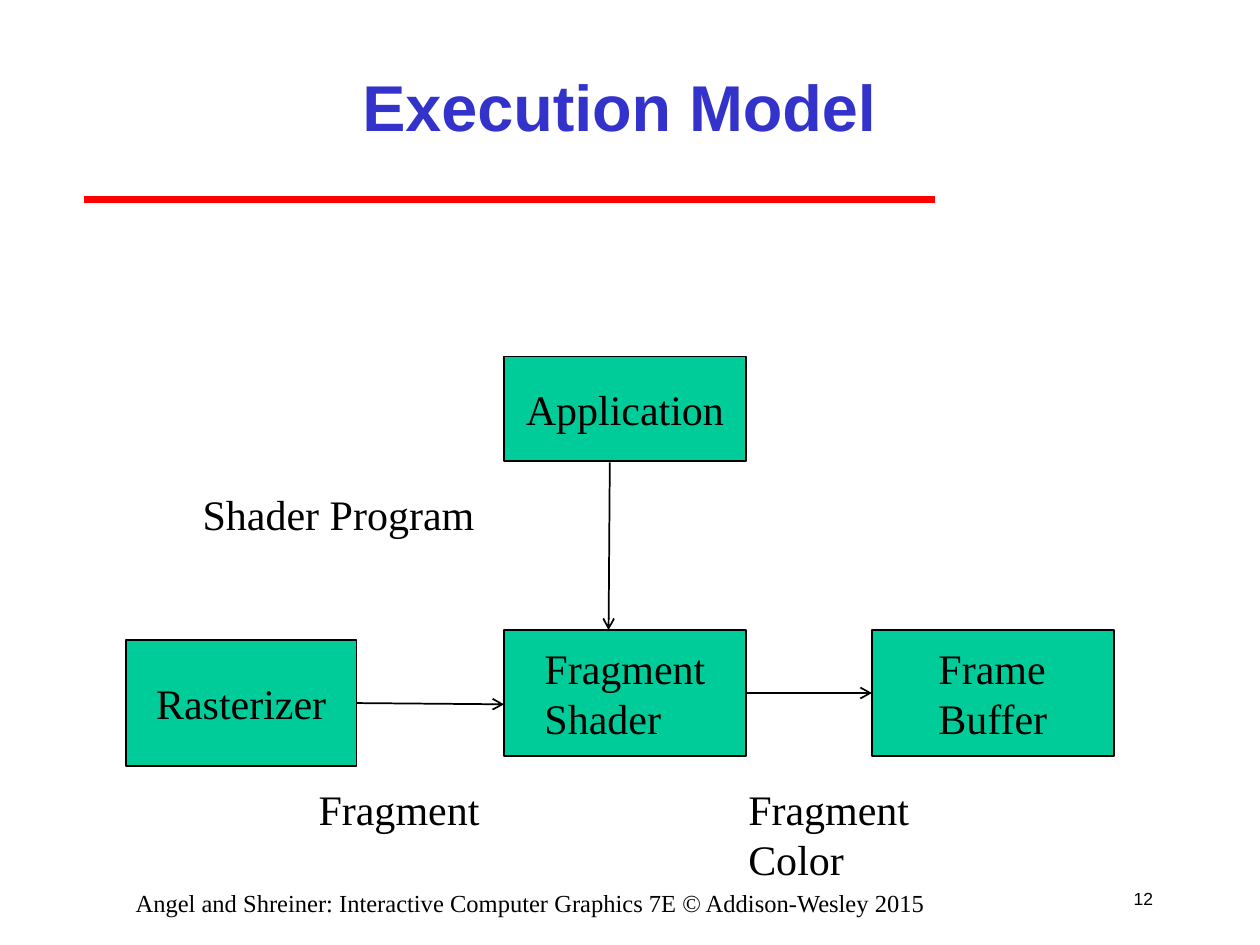
from pptx import Presentation
from pptx.dml.color import RGBColor
from pptx.enum.shapes import MSO_CONNECTOR as Connector, MSO_SHAPE as Shape
from pptx.enum.text import MSO_ANCHOR as Anchor, MSO_AUTO_SIZE as AutoSize, PP_ALIGN as Align
from pptx.oxml.ns import qn
from pptx.util import Inches, Pt
from lxml.etree import SubElement

BLACK, RED, BLUE, GREEN = "000000", "FF0000", "3333CC", "00CC99"
SERIF, SANS = "Times New Roman", "Arial"


def color(value):
    return RGBColor.from_string(value)


class SlideBuilder:
    def __init__(self, slide):
        self.slide = slide

    def set_text(self, shape, lines, size=24, font=SERIF, fill=BLACK, bold=False,
                 align=Align.LEFT, anchor=Anchor.TOP, wrap=True):
        frame = shape.text_frame
        frame.text = "\n".join(lines)
        frame.auto_size = AutoSize.NONE
        frame.word_wrap = wrap
        frame.vertical_anchor = anchor
        for paragraph in frame.paragraphs:
            paragraph.alignment = align
            paragraph.font.size = Pt(size)
            paragraph.font.name = font
            paragraph.font.bold = bold
            paragraph.font.color.rgb = color(fill)

    def title(self, text, left, top, width, height):
        shape = self.slide.shapes.title
        shape.left, shape.top = Inches(left), Inches(top)
        shape.width, shape.height = Inches(width), Inches(height)
        self.set_text(shape, [text], 37, SANS, BLUE, True, Align.CENTER, Anchor.MIDDLE)

    def text(self, lines, left, top, width, height, **style):
        shape = self.slide.shapes.add_textbox(
            Inches(left), Inches(top), Inches(width), Inches(height))
        self.set_text(shape, lines, **style)

    def box(self, lines, left, top, width, height):
        shape = self.slide.shapes.add_shape(
            Shape.RECTANGLE, Inches(left), Inches(top), Inches(width), Inches(height))
        shape.shadow.inherit = False
        shape.fill.solid()
        shape.fill.fore_color.rgb = color(GREEN)
        shape.line.color.rgb = color(BLACK)
        shape.line.width = Pt(1)
        self.set_text(shape, lines, anchor=Anchor.MIDDLE)
        # Centre the left-aligned lines as one block
        shape.text_frame._txBody.find(qn("a:bodyPr")).set("anchorCtr", "1")

    def line(self, x1, y1, x2, y2, stroke=BLACK, width=1, arrow=True):
        connector = self.slide.shapes.add_connector(
            Connector.STRAIGHT, Inches(x1), Inches(y1), Inches(x2), Inches(y2))
        connector.line.color.rgb = color(stroke)
        connector.line.width = Pt(width)
        properties = connector._element.spPr
        if arrow:
            SubElement(properties.find(qn("a:ln")), qn("a:tailEnd"), type="arrow")
        SubElement(properties, qn("a:effectLst"))


def main():
    presentation = Presentation()
    presentation.slide_width, presentation.slide_height = Inches(10), Inches(7.5)
    builder = SlideBuilder(presentation.slides.add_slide(presentation.slide_layouts[5]))

    # Title and rule
    builder.title("Execution Model", 1.5, 0.25, 6.83, 1.17)
    builder.line(0.67, 1.58, 7.42, 1.58, RED, 4, arrow=False)

    # Stages
    builder.box(["Application"], 4, 2.83, 1.92, 0.83)
    builder.box(["Rasterizer"], 1, 5.08, 1.83, 1)
    builder.box(["Fragment", "Shader"], 4, 5, 1.92, 1)
    builder.box(["Frame Buffer"], 6.92, 5, 1.92, 1)

    # Flow between stages
    builder.line(4.84, 3.67, 4.83, 5)
    builder.line(2.83, 5.58, 4, 5.59)
    builder.line(5.92, 5.5, 6.92, 5.5)

    # Data labels
    builder.text(["Shader Program"], 1.51, 3.83, 2.35, 0.5, wrap=False)
    builder.text(["Fragment"], 2.43, 6.17, 1.48, 0.5, wrap=False)
    builder.text(["Fragment", "Color"], 5.84, 6.17, 1.48, 0.9, wrap=False)

    # Footer and slide number
    builder.text(["Angel and Shreiner: Interactive Computer Graphics 7E © Addison-Wesley 2015"],
                 0.5, 7, 7.42, 0.25, size=14, align=Align.CENTER)
    builder.text(["12"], 8.83, 6.92, 0.42, 0.42, size=10, font=SANS,
                 align=Align.RIGHT, anchor=Anchor.MIDDLE)

    presentation.save("out.pptx")


if __name__ == "__main__":
    main()
